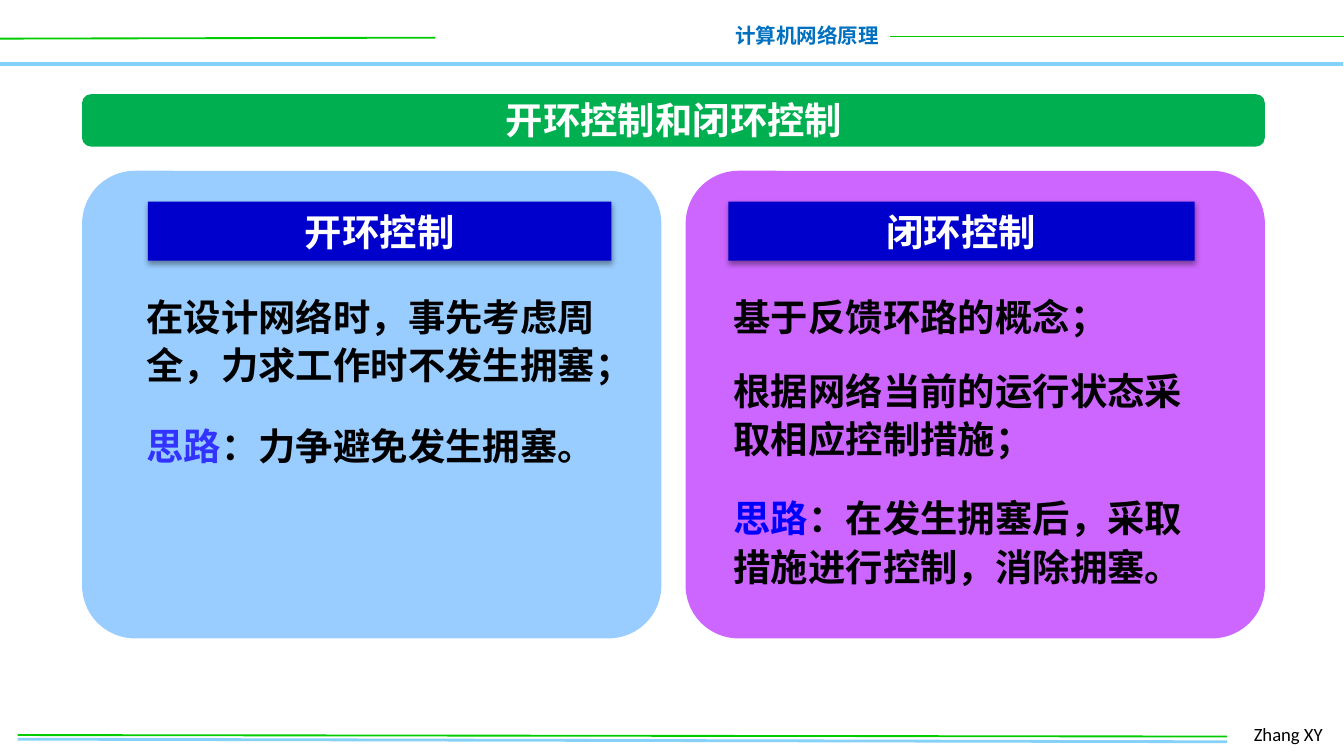
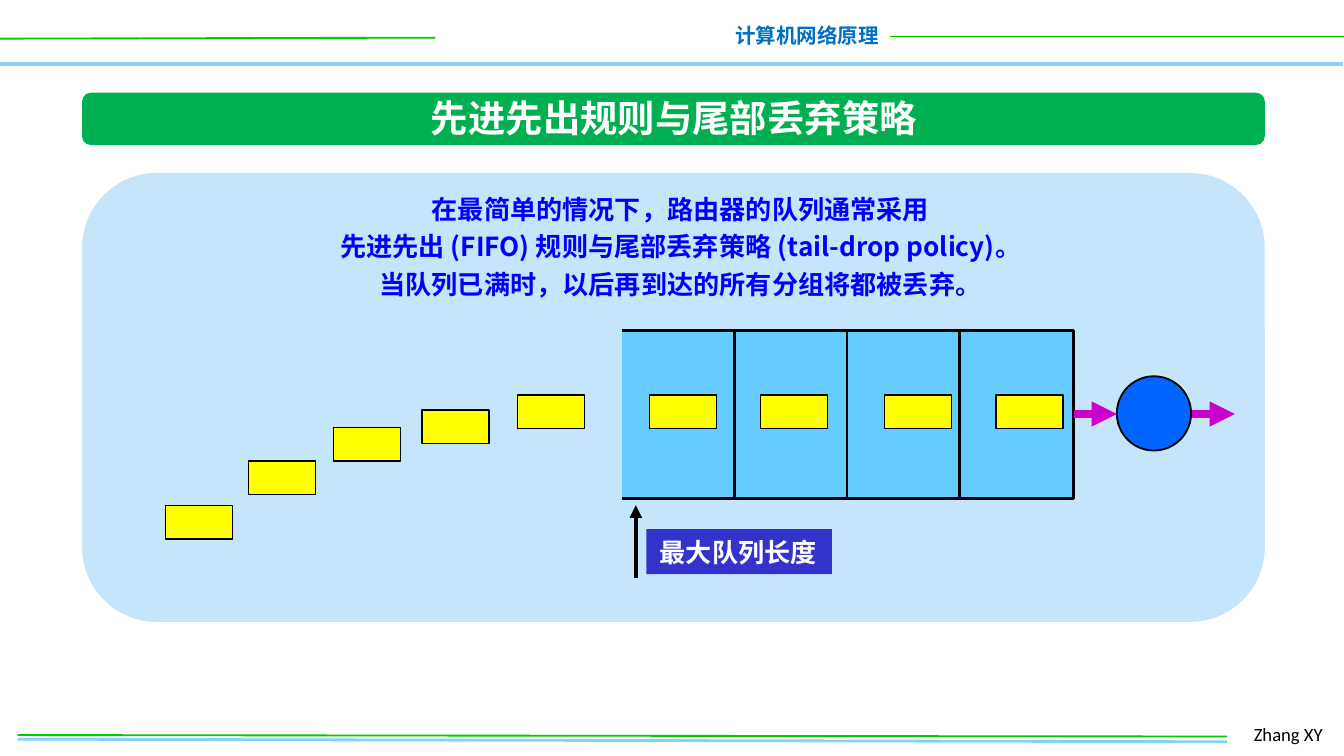
from dataclasses import dataclass, replace

from lxml.etree import SubElement
from pptx import Presentation
from pptx.dml.color import RGBColor
from pptx.enum.shapes import MSO_CONNECTOR as Connector, MSO_SHAPE as Shape
from pptx.enum.text import MSO_ANCHOR as Anchor, MSO_AUTO_SIZE as AutoSize, PP_ALIGN as Align
from pptx.oxml.ns import qn
from pptx.util import Pt

CJK = "Noto Sans CJK SC"
BLACK, WHITE, BLUE = "000000", "FFFFFF", "0000FF"
GREEN_RULE, SKY_RULE = "00CC00", "85D1F7"
BAR_LEFT, BAR_WIDTH, BAR_HEIGHT = 44, 633.6, 28
TITLE_CENTRE, TITLE_HEIGHT = 361.1, 31.7
PANEL_TOP, PANEL_WIDTH, PANEL_HEIGHT = 91.5, 310.3, 250.5
QUEUE_LEFT, QUEUE_RIGHT, QUEUE_TOP, QUEUE_BOTTOM = 333.4, 575.3, 177.1, 267.1
CELL_WIDTH, CELL_COUNT = 60.2, 4
PACKET_WIDTH, PACKET_HEIGHT, PACKET_TOP = 36, 18, 211.7
WAITING_PACKETS = [(88.6, 270.8), (133.2, 246.9), (178.6, 229), (226.1, 219.6), (277.2, PACKET_TOP)]
QUEUED_PACKETS = [(left, PACKET_TOP) for left in (347.8, 407.5, 473.8, 533.5)]


@dataclass(frozen=True)
class Box:
    left: float
    top: float
    width: float
    height: float


@dataclass(frozen=True)
class TextStyle:
    size: float
    color: str
    bold: bool = True
    font: str = CJK
    align: Align = Align.LEFT
    anchor: Anchor = Anchor.MIDDLE
    spacing: float | None = None
    wrap: bool = True


@dataclass(frozen=True)
class Rule:
    start: tuple[float, float]
    end: tuple[float, float]
    color: str
    width: float
    arrow: bool = False


@dataclass(frozen=True)
class Note:
    top: float
    height: float
    text: str
    lead: str = ""


@dataclass(frozen=True)
class Panel:
    left: float
    color: str
    heading: str
    heading_left: float
    heading_width: float
    text_left: float
    lead_color: str
    notes: tuple[Note, ...]


HEADING = TextStyle(20, WHITE, align=Align.CENTER)
TITLE = replace(HEADING, wrap=False)
BODY = TextStyle(20, BLACK, anchor=Anchor.TOP, spacing=26)
SUMMARY = TextStyle(14, BLUE, align=Align.CENTER, spacing=20)
LABEL = TextStyle(14, WHITE, wrap=False)
COURSE = TextStyle(11, "0070C0", align=Align.RIGHT, wrap=False)
AUTHOR = TextStyle(10, BLACK, bold=False, font="Calibri")

FRAME_RULES = [
    Rule((-0.7, 34.3), (719.3, 34.3), SKY_RULE, 2),
    Rule((0, 20.7), (233.3, 20.2), GREEN_RULE, 1),
    Rule((476.6, 19.6), (720.7, 19.6), GREEN_RULE, 1),
    Rule((9.4, 396), (657.4, 397.4), SKY_RULE, 1.5),
    Rule((9.4, 393.8), (657.4, 394.6), GREEN_RULE, 1),
]

PANELS = [
    Panel(BAR_LEFT, "99CCFF", "开环控制", 79.2, 248.4, 71.3, "3333FF", (
        Note(151.9, 59.8, "在设计网络时，事先考虑周全，力求工作时不发生拥塞；"),
        Note(221, 33.8, "：力争避免发生拥塞。", "思路"),
    )),
    Panel(BAR_LEFT + BAR_WIDTH - PANEL_WIDTH, "CC66FF", "闭环控制", 390.2, 249.8, 385.9, BLUE, (
        Note(151.9, 33.8, "基于反馈环路的概念；"),
        Note(191.5, 59.8, "根据网络当前的运行状态采取相应控制措施；"),
        Note(260, 59.8, "：在发生拥塞后，采取措施进行控制，消除拥塞。", "思路"),
    )),
]


def rgb(color: str) -> RGBColor:
    return RGBColor.from_string(color)


def place(shape, box: Box) -> None:
    shape.left, shape.top = Pt(box.left), Pt(box.top)
    shape.width, shape.height = Pt(box.width), Pt(box.height)


def write(shape, lines: list[str], style: TextStyle, lead: str = "", lead_color: str = "") -> None:
    frame = shape.text_frame
    frame.word_wrap = style.wrap
    frame.auto_size = AutoSize.NONE
    frame.vertical_anchor = style.anchor
    for index, line in enumerate(lines):
        paragraph = frame.paragraphs[0] if index == 0 else frame.add_paragraph()
        paragraph.alignment = style.align
        if style.spacing:
            paragraph.line_spacing = Pt(style.spacing)
        font = paragraph.font
        font.size, font.bold, font.name = Pt(style.size), style.bold, style.font
        font.color.rgb = rgb(style.color)
        SubElement(font._rPr, qn("a:ea"), typeface=style.font)
        if lead:
            opening = paragraph.add_run()
            opening.text = lead
            opening.font.color.rgb = rgb(lead_color)
        paragraph.add_run().text = line


def add_text(slide, box: Box, lines: list[str], style: TextStyle, lead: str = "", lead_color: str = "") -> None:
    area = slide.shapes.add_textbox(Pt(box.left), Pt(box.top), Pt(box.width), Pt(box.height))
    write(area, lines, style, lead, lead_color)


def paint(shape, fill: str, line: str = "", width: float = 0) -> None:
    shape.shadow.inherit = False
    shape.fill.solid()
    shape.fill.fore_color.rgb = rgb(fill)
    if line:
        shape.line.color.rgb = rgb(line)
        shape.line.width = Pt(width)
    else:
        shape.line.fill.background()


def add_block(slide, kind: Shape, box: Box, fill: str, line: str = "", width: float = 0,
              corner: float | None = None):
    block = slide.shapes.add_shape(kind, Pt(box.left), Pt(box.top), Pt(box.width), Pt(box.height))
    paint(block, fill, line, width)
    if corner is not None:
        block.adjustments[0] = corner
    return block


def add_soft_shadow(shape) -> None:
    effects = shape.element.spPr.find(qn("a:effectLst"))
    shadow = SubElement(effects, qn("a:outerShdw"), blurRad=str(Pt(3.1)), dist=str(Pt(1.6)),
                        dir="5400000", rotWithShape="0")
    tint = SubElement(shadow, qn("a:srgbClr"), val=BLACK)
    SubElement(tint, qn("a:alpha"), val="38000")


def add_rule(slide, rule: Rule) -> None:
    ends = [Pt(value) for value in (*rule.start, *rule.end)]
    connector = slide.shapes.add_connector(Connector.STRAIGHT, *ends)
    connector.line.color.rgb = rgb(rule.color)
    connector.line.width = Pt(rule.width)
    if rule.arrow:
        SubElement(connector.get_or_add_ln(), qn("a:tailEnd"), type="triangle")
    SubElement(connector.element.spPr, qn("a:effectLst"))


def add_framed_slide(deck, title: str, bar_top: float):
    slide = deck.slides.add_slide(deck.slide_layouts[5])
    for rule in FRAME_RULES:
        add_rule(slide, rule)
    add_text(slide, Box(385.9, 8.6, 92.2, 20.9), ["计算机网络原理"], COURSE)
    add_text(slide, Box(664.6, 383.8, 53.3, 19.4), ["Zhang XY"], AUTHOR)
    add_block(slide, Shape.ROUNDED_RECTANGLE, Box(BAR_LEFT, bar_top, BAR_WIDTH, BAR_HEIGHT),
              "00B050", corner=0.167)
    heading = slide.shapes.title
    width = TITLE.size * len(title) + 16.5
    place(heading, Box(TITLE_CENTRE - width / 2, bar_top - 2.5, width, TITLE_HEIGHT))
    write(heading, [title], TITLE)
    slide.shapes.element.append(heading.element)
    return slide


def add_panel(slide, panel: Panel) -> None:
    add_block(slide, Shape.ROUNDED_RECTANGLE, Box(panel.left, PANEL_TOP, PANEL_WIDTH, PANEL_HEIGHT),
              panel.color, corner=0.113)
    heading = add_block(slide, Shape.RECTANGLE, Box(panel.heading_left, 108, panel.heading_width, 31.7),
                        "0000CC")
    add_soft_shadow(heading)
    write(heading, [panel.heading], HEADING)
    for note in panel.notes:
        add_text(slide, Box(panel.text_left, note.top, 267.1, note.height), [note.text], BODY,
                 note.lead, panel.lead_color)


def add_queue(slide) -> None:
    outline = slide.shapes.build_freeform(Pt(QUEUE_LEFT), Pt(QUEUE_BOTTOM))
    corners = [(QUEUE_RIGHT, QUEUE_BOTTOM), (QUEUE_RIGHT, QUEUE_TOP), (QUEUE_LEFT, QUEUE_TOP)]
    outline.add_line_segments([(Pt(x), Pt(y)) for x, y in corners], close=False)
    paint(outline.convert_to_shape(), "66CCFF", BLACK, 1.5)
    for cell in range(1, CELL_COUNT):
        x = QUEUE_LEFT + cell * CELL_WIDTH
        add_rule(slide, Rule((x, QUEUE_TOP), (x, QUEUE_BOTTOM), BLACK, 1.5))
    for left, top in WAITING_PACKETS + QUEUED_PACKETS:
        add_block(slide, Shape.RECTANGLE, Box(left, top, PACKET_WIDTH, PACKET_HEIGHT),
                  "FFFF00", BLACK, 0.75)
    add_block(slide, Shape.OVAL, Box(598.3, 201.6, 39.8, 39.8), "0066FF", BLACK, 1)
    for start in (QUEUE_RIGHT, 638.6):
        add_rule(slide, Rule((start, 221.8), (start + 23, 221.8), "CC00CC", 4.5, arrow=True))
    add_rule(slide, Rule((340.6, 309.6), (340.6, 270.7), BLACK, 2.25, arrow=True))
    limit = add_block(slide, Shape.RECTANGLE, Box(346.3, 283.5, 99.4, 24.2), "3333CC")
    write(limit, ["最大队列长度"], LABEL)


def build_control_slide(deck) -> None:
    slide = add_framed_slide(deck, "开环控制和闭环控制", 50.5)
    for panel in PANELS:
        add_panel(slide, panel)


def build_queue_slide(deck) -> None:
    slide = add_framed_slide(deck, "先进先出规则与尾部丢弃策略", 49.7)
    add_block(slide, Shape.ROUNDED_RECTANGLE, Box(BAR_LEFT, 92.7, BAR_WIDTH, 240.5), "C5E5FB")
    add_text(slide, Box(130.3, 96.5, 468.7, 67.7), [
        "在最简单的情况下，路由器的队列通常采用",
        "先进先出 (FIFO) 规则与尾部丢弃策略 (tail-drop policy)。",
        "当队列已满时，以后再到达的所有分组将都被丢弃。",
    ], SUMMARY)
    add_queue(slide)


def main() -> None:
    deck = Presentation()
    deck.slide_width, deck.slide_height = Pt(720), Pt(405)
    build_control_slide(deck)
    build_queue_slide(deck)
    deck.save("out.pptx")


if __name__ == "__main__":
    main()
